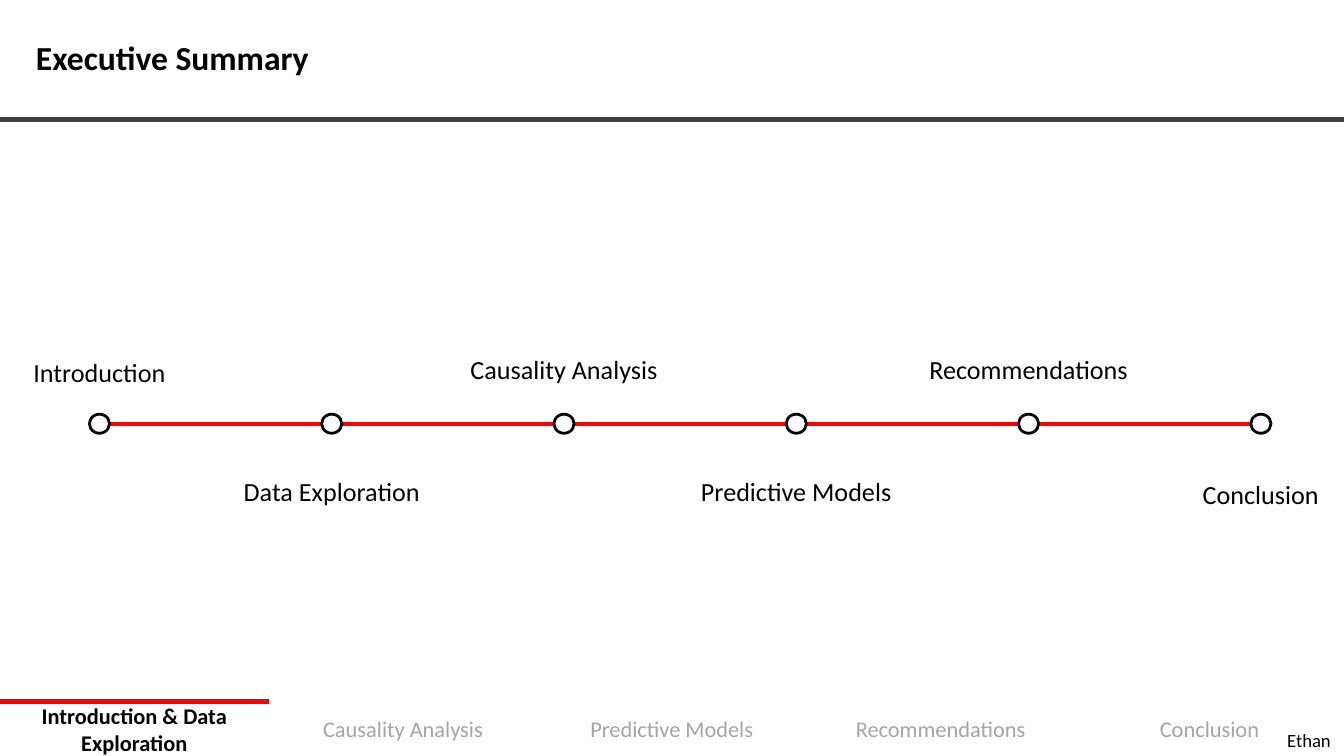
from dataclasses import dataclass

from lxml import etree
from pptx import Presentation
from pptx.dml.color import RGBColor
from pptx.enum.shapes import MSO_CONNECTOR, MSO_SHAPE
from pptx.enum.text import MSO_ANCHOR, PP_ALIGN
from pptx.oxml.ns import qn
from pptx.util import Cm, Pt

STRAIGHT = MSO_CONNECTOR.STRAIGHT
OVAL, RECTANGLE = MSO_SHAPE.OVAL, MSO_SHAPE.RECTANGLE
TOP, MIDDLE = MSO_ANCHOR.TOP, MSO_ANCHOR.MIDDLE
LEFT, CENTER, RIGHT = PP_ALIGN.LEFT, PP_ALIGN.CENTER, PP_ALIGN.RIGHT


@dataclass(frozen=True)
class Theme:
    font: str = "Calibri"
    text: RGBColor = RGBColor(0x00, 0x00, 0x00)
    muted: RGBColor = RGBColor(0xA5, 0xA5, 0xA5)
    background: RGBColor = RGBColor(0xFF, 0xFF, 0xFF)
    accent: RGBColor = RGBColor(0xFF, 0x00, 0x00)
    rule: RGBColor = RGBColor(0x3F, 0x3F, 0x3E)
    title_size: Pt = Pt(18)
    label_size: Pt = Pt(14)
    section_size: Pt = Pt(12)
    presenter_size: Pt = Pt(10)
    line_width: Pt = Pt(2.25)
    marker_width: Pt = Pt(1.5)


THEME = Theme()
SLIDE_WIDTH, SLIDE_HEIGHT = 25.4, 14.29

SECTIONS = ["Introduction & Data Exploration", "Causality Analysis",
            "Predictive Models", "Recommendations", "Conclusion"]
SECTION_TOP, SECTION_STEP = 13.26, SLIDE_WIDTH / len(SECTIONS)

# Label, top, width, height, bottom inset
MILESTONES = [
    ("Introduction", 6.35, 4.11, 1.35, 0.1),
    ("Data Exploration", 8.33, 4.42, 1.9, 0.1),
    ("Causality Analysis", 6.3, 4.11, 1.35, 0.1),
    ("Predictive Models", 8.33, 4.42, 1.9, 0.1),
    ("Recommendations", 6.02, 4.42, 1.9, 0.1),
    ("Conclusion", 8.66, 4.42, 1.9, 0.65),
]
FIRST_CENTER, MILESTONE_STEP, TIMELINE_Y = 1.88, 4.39, 8.01
MARKER_WIDTH, MARKER_HEIGHT = 0.38, 0.36


def write_text(shape, text, size, color=THEME.text, bold=False, align=CENTER,
               anchor=MIDDLE, insets=(0.18, 0.1, 0.18, 0.1)):
    """Fill a shape with one paragraph; insets are left, top, right, bottom in cm."""
    frame = shape.text_frame
    frame.word_wrap = True
    frame.vertical_anchor = anchor
    (frame.margin_left, frame.margin_top,
     frame.margin_right, frame.margin_bottom) = map(Cm, insets)
    paragraph = frame.paragraphs[0]
    paragraph.text = text
    paragraph.alignment = align
    paragraph.font.name = THEME.font
    paragraph.font.size = size
    paragraph.font.bold = bold
    paragraph.font.color.rgb = color
    return paragraph


def add_text(slide, box, text, size, **style):
    return write_text(slide.shapes.add_textbox(*map(Cm, box)), text, size, **style)


def add_horizontal_line(slide, start, end, y, color):
    line = slide.shapes.add_connector(STRAIGHT, Cm(start), Cm(y), Cm(end), Cm(y))
    line.line.color.rgb = color
    line.line.width = THEME.line_width
    etree.SubElement(line._element.spPr, qn("a:effectLst"))


def add_plain_shape(slide, kind, box):
    shape = slide.shapes.add_shape(kind, *map(Cm, box))
    shape.shadow.inherit = False
    shape.fill.solid()
    shape.fill.fore_color.rgb = THEME.background
    shape.line.fill.background()
    return shape


def add_marker(slide, center):
    box = (center - MARKER_WIDTH / 2, TIMELINE_Y - MARKER_HEIGHT / 2,
           MARKER_WIDTH, MARKER_HEIGHT)
    marker = add_plain_shape(slide, OVAL, box)
    marker.line.color.rgb = THEME.text
    marker.line.width = THEME.marker_width


def add_header(slide):
    add_horizontal_line(slide, 0, SLIDE_WIDTH, 2.26, THEME.rule)
    title = add_text(slide, (0.3, 0.18, 21.41, 1.9), "Executive Summary",
                     THEME.title_size, bold=True, align=LEFT,
                     insets=(0.38, 0.1, 0.18, 0.1))
    title.line_spacing = 0.9


def add_timeline(slide):
    centers = [FIRST_CENTER + MILESTONE_STEP * index for index in range(len(MILESTONES))]
    for center, (text, top, width, height, bottom) in zip(centers, MILESTONES):
        label = add_plain_shape(slide, RECTANGLE, (center - width / 2, top, width, height))
        write_text(label, text, THEME.label_size, insets=(0.18, 0.1, 0.18, bottom))
    add_horizontal_line(slide, centers[0], centers[-1], TIMELINE_Y, THEME.accent)
    for center in centers:
        add_marker(slide, center)


def add_section_bar(slide, current):
    for index, section in enumerate(SECTIONS):
        active = index == current
        add_text(slide, (SECTION_STEP * index, SECTION_TOP, SECTION_STEP, 1.04),
                 section, THEME.section_size, bold=active,
                 color=THEME.text if active else THEME.muted)
    start = SECTION_STEP * current
    add_horizontal_line(slide, start, start + SECTION_STEP, SECTION_TOP, THEME.accent)


def main():
    presentation = Presentation()
    presentation.slide_width = Cm(SLIDE_WIDTH)
    presentation.slide_height = Cm(SLIDE_HEIGHT)
    slide = presentation.slides.add_slide(presentation.slide_layouts[6])
    add_section_bar(slide, current=0)
    add_header(slide)
    add_timeline(slide)
    add_text(slide, (22.78, 13.56, 2.62, 0.94), "Ethan", THEME.presenter_size,
             align=RIGHT, anchor=TOP, insets=(0.25, 0.25, 0.25, 0.25))
    presentation.save("out.pptx")


if __name__ == "__main__":
    main()
